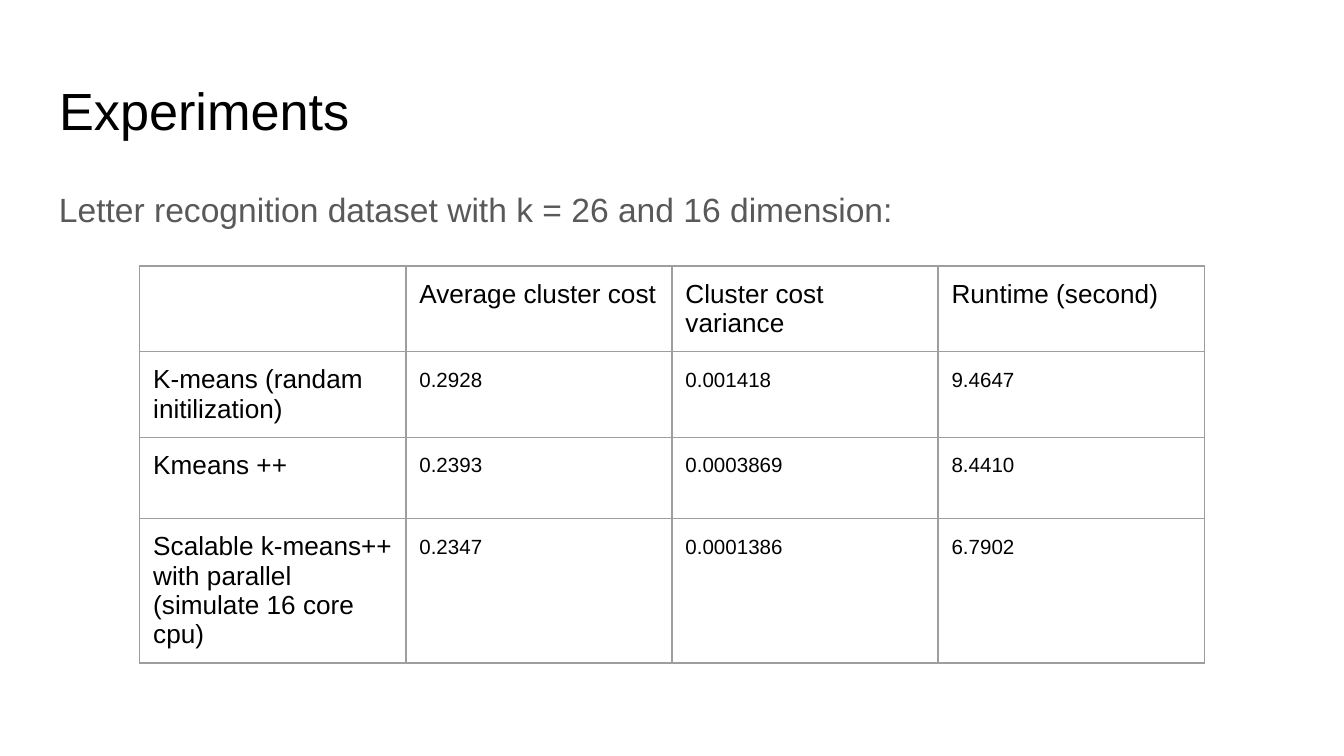
from lxml.etree import SubElement as Sub
from pptx import Presentation
from pptx.dml.color import RGBColor as Rgb
from pptx.enum.text import MSO_ANCHOR as Anchor, MSO_AUTO_SIZE as Fit, PP_ALIGN as Align
from pptx.oxml.ns import qn
from pptx.util import Emu, Pt

INK = {"black": "000000", "gray": "595959", "rule": "9E9E9E"}
FONT = "Arial"
ROWS = [
    ["", "Average cluster cost", "Cluster cost variance", "Runtime (second)"],
    ["K-means (randam initilization)", "0.2928", "0.001418", "9.4647"],
    ["Kmeans ++", "0.2393", "0.0003869", "8.4410"],
    ["Scalable k-means++ with parallel (simulate 16 core cpu)",
     "0.2347", "0.0001386", "6.7902"],
]
COL, ROW = 396, 121
SCALE = 4572


def px(n):
    return Emu(n * SCALE)


def pad(box):
    box.margin_left = box.margin_right = px(20)
    box.margin_top = box.margin_bottom = px(20)


def write(frame, text, size, ink, space=1.0):
    para = frame.paragraphs[0]
    para.alignment = Align.LEFT
    para.line_spacing = space
    run = para.add_run()
    run.text = text
    run.font.name = FONT
    run.font.size = Pt(size)
    run.font.color.rgb = Rgb.from_string(INK[ink])


def setup(frame):
    pad(frame)
    frame.word_wrap = True
    frame.auto_size = Fit.NONE
    frame.vertical_anchor = Anchor.TOP


def add_title(slide, text):
    title = slide.shapes.title
    title.left, title.top = px(68), px(97)
    title.width, title.height = px(1864), px(125)
    setup(title.text_frame)
    write(title.text_frame, text, 28, "black")


def add_text(slide, text):
    box = slide.shapes.add_textbox(px(68), px(252), px(1864), px(747))
    setup(box.text_frame)
    write(box.text_frame, text, 18, "gray", 1.15)


def edge(cell):
    props = cell._tc.get_or_add_tcPr()
    for side in ("a:lnL", "a:lnR", "a:lnT", "a:lnB"):
        line = Sub(props, qn(side), w=str(Pt(0.75)))
        fill = Sub(line, qn("a:solidFill"))
        Sub(fill, qn("a:srgbClr"), val=INK["rule"])


def add_grid(slide):
    high, wide = len(ROWS), len(ROWS[0])
    frame = slide.shapes.add_table(
        high, wide, px(208), px(396), px(COL * wide), px(ROW * high))
    table = frame.table
    table.first_row = table.horz_banding = False
    for col in table.columns:
        col.width = px(COL)
    for r, row in enumerate(ROWS):
        table.rows[r].height = px(ROW)
        for c, text in enumerate(row):
            cell = table.cell(r, c)
            pad(cell)
            edge(cell)
            cell.fill.background()
            cell.vertical_anchor = Anchor.TOP
            if text:
                head = r == 0 or c == 0
                size, space = (14, 1.0) if head else (11, 1.15)
                write(cell.text_frame, text, size, "black", space)


def main():
    deck = Presentation()
    deck.slide_width, deck.slide_height = px(2000), px(1125)
    slide = deck.slides.add_slide(deck.slide_layouts[5])
    add_title(slide, "Experiments")
    add_text(slide, "Letter recognition dataset with k = 26 and 16 dimension:")
    add_grid(slide)
    deck.save("out.pptx")


if __name__ == "__main__":
    main()
